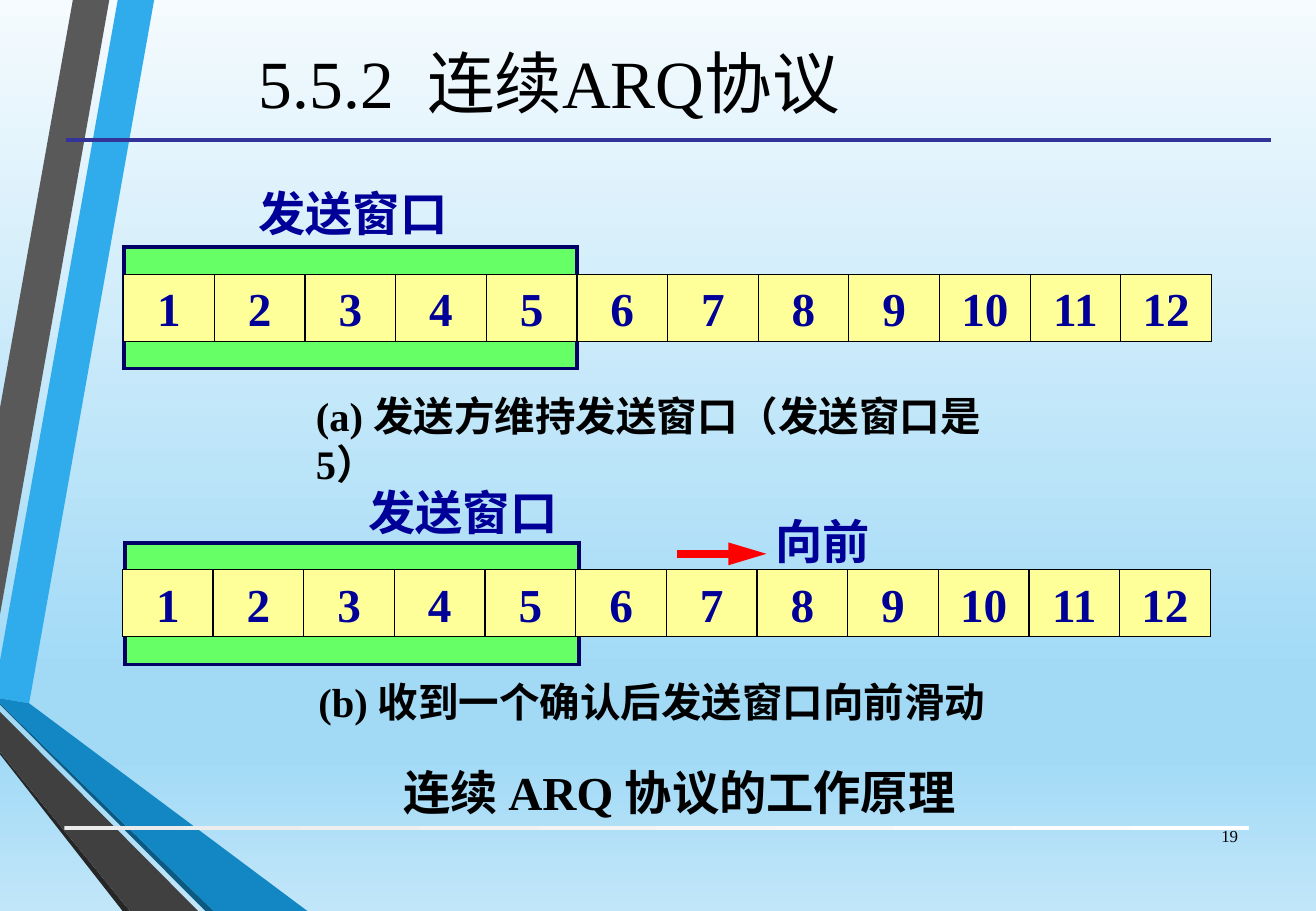
"""Builds the slide on the sliding window of the continuous ARQ protocol."""
from copy import deepcopy

from lxml.etree import SubElement as Sub
from pptx import Presentation
from pptx.dml.color import RGBColor as Rgb
from pptx.enum.shapes import MSO_CONNECTOR as Conn, MSO_SHAPE as Form
from pptx.enum.text import MSO_ANCHOR as Anchor, PP_ALIGN as Align
from pptx.oxml.ns import qn
from pptx.util import Pt

FONT = "Times New Roman"
HUES = {
    "black": "000000", "navy": "000099", "edge": "000066", "rule": "333399",
    "green": "66FF66", "cream": "FFFF99", "red": "FF0000",
    "sky": "30ACEC", "grey": "595959", "coal": "262626", "teal": "0C5A82",
    "blue": "1287C3", "slate": "404040",
    "pale": "F5FBFE", "mid": "A2DAF6", "low": "C1E6F9",
    "mist": "EBEBEB", "white": "FFFFFF",
}
TITLE = "5.5.2  连续ARQ协议"
BACK = [(0, "pale"), (0.74, "mid"), (0.83, "mid"), (1, "low")]
FADE = [(0, "mist"), (1, "white")]
FACETS = [
    ("sky", [(0, 391.7), (0, 414), (17.3, 416.9), (91.4, 0), (69.8, 0)]),
    ("grey", [(64.8, 0), (43.2, 0), (0, 241.9), (0, 364.3)]),
    ("coal", [(0, 445.7), (0, 447.1), (72.7, 540), (77, 540)]),
    ("teal", [(0, 416.9), (0, 417.6), (121.7, 540), (126.7, 540)]),
    ("blue", [(0, 416.9), (126.7, 540), (182.2, 540), (17.3, 416.9), (0, 414)]),
    ("slate", [(0, 445.7), (77, 540), (117.4, 540), (0, 421.9)]),
]
COUNT, PITCH, TALL = 12, 53.73, 39.75
WINDOW = (268.8, 72)
ROWS = [
    {"cells": (73.3, 162.7), "window": (73.3, 146.5)},
    {"cells": (72.6, 337.7), "window": (74.2, 321.9)},
]
LABELS = [
    ("发送窗口", (146.2, 105.8, 128.2, 41), 28, "navy", Align.LEFT),
    ("(a) 发送方维持发送窗口（发送窗口是 5）", (180.2, 228, 440, 65), 24, "black", Align.LEFT),
    ("发送窗口", (211.4, 283.2, 128.2, 41), 28, "navy", Align.LEFT),
    ("向前", (452.5, 300.2, 71.3, 41), 28, "navy", Align.LEFT),
    ("(b) 收到一个确认后发送窗口向前滑动", (181.6, 397.7, 430, 36), 24, "black", Align.LEFT),
    ("连续 ARQ 协议的工作原理", (195.6, 448.7, 414, 41), 28, "black", Align.CENTER),
]
PAGE = ("19", (704.2, 481, 36.7, 28.8), 10, "black", Align.RIGHT)

deck = Presentation()
deck.slide_width, deck.slide_height = Pt(780), Pt(540)
slide = deck.slides.add_slide(deck.slide_layouts[5])
shapes = slide.shapes


def hue(name):
    return Rgb.from_string(HUES[name])


def blend(fill, stops, angle):
    for stop, (pos, name) in zip(fill.gradient_stops, stops):
        stop.position = pos
        stop.color.rgb = hue(name)
    fill.gradient_angle = angle


def paint(shape, name, edge=None, width=0.75):
    shape.shadow.inherit = False
    shape.fill.solid()
    shape.fill.fore_color.rgb = hue(name)
    if edge:
        shape.line.color.rgb = hue(edge)
        shape.line.width = Pt(width)
        Sub(shape.line._get_or_add_ln(), qn("a:miter"), lim="800000")
    else:
        shape.line.fill.background()


def block(x, y, w, h):
    return shapes.add_shape(Form.RECTANGLE, Pt(x), Pt(y), Pt(w), Pt(h))


def write(shape, text, size, name, align, bold=True):
    frame = shape.text_frame
    frame.text = text
    frame.word_wrap = True
    para = frame.paragraphs[0]
    para.alignment = align
    for run in para.runs:
        font = run.font
        font.name, font.size, font.bold = FONT, Pt(size), bold
        font.color.rgb = hue(name)
    return frame


def label(text, box, size, name, align, bold=True):
    shape = shapes.add_textbox(*map(Pt, box))
    return write(shape, text, size, name, align, bold)


def rule(x1, y1, x2, y2, name, width):
    line = shapes.add_connector(Conn.STRAIGHT, Pt(x1), Pt(y1), Pt(x2), Pt(y2))
    line.line.color.rgb = hue(name)
    line.line.width = Pt(width)
    Sub(line._element.spPr, qn("a:effectLst"))
    return line


def strip(row):
    paint(block(*row["window"], *WINDOW), "green", "edge", 2.25)
    left, top = row["cells"]
    paint(block(left, top, COUNT * PITCH, TALL), "cream", "black")
    for i in range(COUNT):
        x = left + i * PITCH
        frame = label(str(i + 1), (x, top, PITCH, TALL), 28, "navy", Align.CENTER)
        frame.margin_left = frame.margin_right = 0
        frame.vertical_anchor = Anchor.MIDDLE
    for i in range(1, COUNT):
        x = left + i * PITCH
        rule(x, top, x, top + TALL, "black", 0.75)


back = slide.background.fill
back.gradient()
stops = slide._element.find(".//" + qn("a:gsLst"))
for _ in BACK[2:]:
    stops.append(deepcopy(stops[-1]))
blend(back, BACK, 270)

for name, points in FACETS:
    first, *rest = [(Pt(x), Pt(y)) for x, y in points]
    pen = shapes.build_freeform(*first)
    pen.add_line_segments(rest, close=True)
    paint(pen.convert_to_shape(), name)

bar = block(38.2, 489.6, 702, 2.2)
paint(bar, "white")
bar.fill.gradient()
blend(bar.fill, FADE, 0)
rule(38.9, 82.8, 753.1, 82.8, "rule", 2.25)

head = shapes.title
head.left, head.top, head.width, head.height = map(Pt, (31, 3.6, 589, 89.3))
write(head, TITLE, 40, "black", Align.CENTER, False).vertical_anchor = Anchor.MIDDLE

for row in ROWS:
    strip(row)
for item in LABELS:
    label(*item)
label(*PAGE, bold=False).vertical_anchor = Anchor.MIDDLE

arrow = rule(401, 328.3, 454.3, 328.3, "red", 4.5)
Sub(arrow.line._get_or_add_ln(), qn("a:tailEnd"), type="triangle", len="lg")

deck.save("out.pptx")
